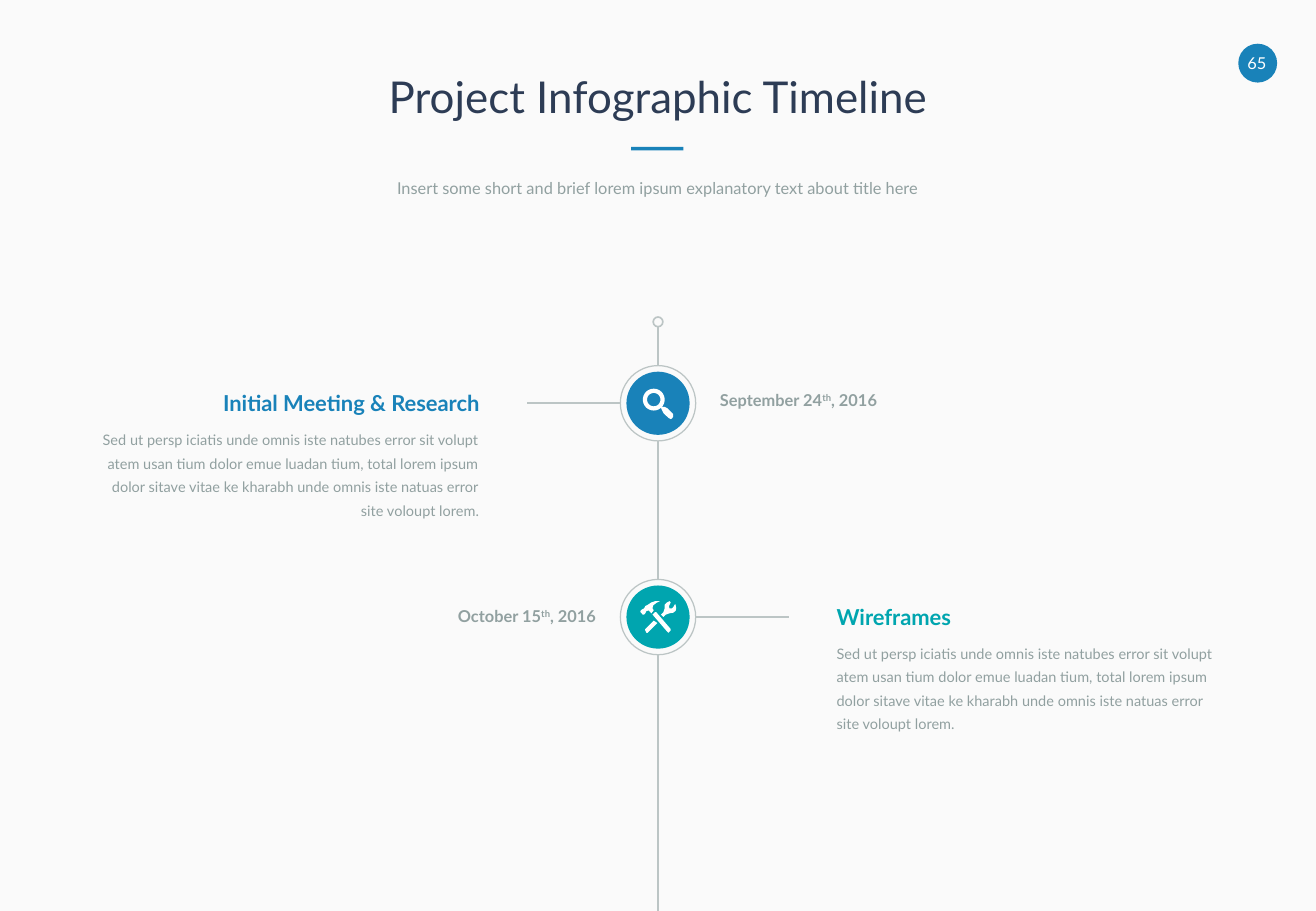
"""Build the project timeline slide with two dated stages."""
import math
import pptx
import pptx.util
import pptx.dml.color
import pptx.enum.shapes
import pptx.enum.text
import lxml.etree

Inches, Pt = pptx.util.Inches, pptx.util.Pt
RGBColor = pptx.dml.color.RGBColor
SHAPE = pptx.enum.shapes.MSO_SHAPE
ALIGN = pptx.enum.text.PP_ALIGN

BLUE = RGBColor(0x19, 0x82, 0xB9)
TEAL = RGBColor(0x00, 0xA5, 0xAF)
NAVY = RGBColor(0x2D, 0x3C, 0x55)
GRAY = RGBColor(0x91, 0xA0, 0xA0)
RULE = RGBColor(0xBC, 0xC5, 0xC5)
WHITE = RGBColor(0xFF, 0xFF, 0xFF)
PAPER = RGBColor(0xFA, 0xFA, 0xFA)

WIDE, HIGH = 10.83, 7.5
MID = WIDE / 2
TITLE = "Project Infographic Timeline"
LEAD = "Insert some short and brief lorem ipsum explanatory text about title here"
BODY = ("Sed ut persp iciatis unde omnis iste natubes error sit volupt atem usan "
        "tium dolor emue luadan tium, total lorem ipsum dolor sitave vitae ke "
        "kharabh unde omnis iste natuas error site voloupt lorem.")


def ring(x, y, r, count=32):
    turns = [2 * math.pi * i / count for i in range(count)]
    return [(x + r * math.cos(t), y + r * math.sin(t)) for t in turns]


LENS = [
    ring(538, 329, 9),
    ring(538, 329, 5.5),
    [(544, 336), (545, 335), (547, 335), (549, 336), (554, 341), (554, 343),
     (553, 344.5), (552, 345), (550, 344), (546, 340)],
]
TOOLS = [
    [(531, 518), (531, 519), (532, 521), (533, 521), (541, 513), (538, 511)],
    [(556, 498), (555.5, 497.5), (554, 500), (553, 501), (551, 501),
     (550.5, 499.5), (551, 498), (552, 496), (551, 495), (549, 496),
     (547, 498), (547, 501), (546, 504), (544, 506), (546, 508), (548, 506),
     (551, 505), (554, 504.5), (556, 503), (556.5, 501)],
    [(540, 504), (539, 504), (537, 506), (549, 520), (550, 521), (551, 520),
     (552, 519), (552, 518)],
    [(532, 503), (534, 502.7), (536, 505), (538, 502.5), (537, 501),
     (537.5, 498.5), (540, 496.5), (543, 495), (539, 495), (536, 496),
     (533, 498), (531, 499), (530, 501), (528, 502), (527, 503), (527, 504),
     (529, 506), (530, 506), (531, 505)],
]
STAGES = [
    dict(name="Initial Meeting & Research", day="September 24", y=3.32,
         side=-1, lift=0.11, color=BLUE, icon=LENS),
    dict(name="Wireframes", day="October 15", y=5.08,
         side=1, lift=0.09, color=TEAL, icon=TOOLS),
]
HEAD = dict(size=Pt(26), color=NAVY)
NOTE = dict(size=Pt(9.7), color=GRAY)
DATE = dict(NOTE, bold=True)
TEXT = dict(size=Pt(8.6), color=GRAY)

deck = pptx.Presentation()
deck.slide_width, deck.slide_height = Inches(WIDE), Inches(HIGH)
slide = deck.slides.add_slide(deck.slide_layouts[6])
slide.background.fill.solid()
slide.background.fill.fore_color.rgb = PAPER
shapes = slide.shapes


def paint(shape, fill=None, line=None, width=1):
    shape.shadow.inherit = False
    if fill is None:
        shape.fill.background()
    else:
        shape.fill.solid()
        shape.fill.fore_color.rgb = fill
    if line is None:
        shape.line.fill.background()
    else:
        shape.line.color.rgb = line
        shape.line.width = Pt(width)


def block(kind, x, y, w, h, **look):
    shape = shapes.add_shape(kind, Inches(x), Inches(y), Inches(w), Inches(h))
    paint(shape, **look)


def disc(y, size, **look):
    block(SHAPE.OVAL, MID - size / 2, y - size / 2, size, size, **look)


def rule(x1, y1, x2, y2):
    line = shapes.add_connector(pptx.enum.shapes.MSO_CONNECTOR.STRAIGHT,
                                Inches(x1), Inches(y1), Inches(x2), Inches(y2))
    line.line.color.rgb = RULE
    line.line.width = Pt(1)
    names = "{http://schemas.openxmlformats.org/drawingml/2006/main}"
    lxml.etree.SubElement(line._element.spPr, names + "effectLst")


def write(parts, x, y, w, h, look, align, space=None):
    frame = shapes.add_textbox(Inches(x), Inches(y), Inches(w), Inches(h)).text_frame
    box = dict(word_wrap=True, margin_left=0, margin_right=0, margin_top=0,
               margin_bottom=0, vertical_anchor=pptx.enum.text.MSO_ANCHOR.TOP)
    for key, value in box.items():
        setattr(frame, key, value)
    para = frame.paragraphs[0]
    para.alignment = align
    para.line_spacing = space
    for part in parts:
        run = para.add_run()
        run.text = part
        run.font.name = "Lato"
        for key, value in look.items():
            if key == "color":
                run.font.color.rgb = value
            else:
                setattr(run.font, key, value)
        if part == "th":
            run.font._element.set("baseline", "30000")


def draw(icon):
    unit = Inches(0.01)
    paths = [[(x * unit, y * unit) for x, y in path] for path in icon]
    pen = shapes.build_freeform(*paths[0][0])
    pen.add_line_segments(paths[0][1:])
    for path in paths[1:]:
        pen.move_to(*path[0])
        pen.add_line_segments(path[1:])
    paint(pen.convert_to_shape(), fill=WHITE)


def stage(name, day, y, side, lift, color, icon):
    align = ALIGN.RIGHT if side < 0 else ALIGN.LEFT
    other = ALIGN.LEFT if side < 0 else ALIGN.RIGHT
    wide, span = 3.13, 1.76
    left = MID + side * 1.47 - (wide if side < 0 else 0)
    start = MID - side * 0.51 - (span if side > 0 else 0)
    disc(y, 0.52, fill=color)
    draw(icon)
    disc(y, 0.62, line=RULE, width=0.75)
    rule(MID + side * 0.31, y, MID + side * 1.08, y)
    write([name], left, y - 0.11, wide, 0.22,
          dict(size=Pt(13), color=color, bold=True), align)
    write([BODY], left, y + 0.18, wide, 0.79, TEXT, align, 1.35)
    write([day, "th", ", 2016"], start, y - lift, span, 0.16, DATE, other)


block(SHAPE.OVAL, 10.19, 0.36, 0.32, 0.32, fill=BLUE)
write(["65"], 10.21, 0.44, 0.27, 0.16, dict(NOTE, color=WHITE), ALIGN.CENTER)
block(SHAPE.RECTANGLE, MID - 0.22, 1.21, 0.43, 0.03, fill=BLUE)
write([TITLE], 0.81, 0.57, 9.21, 0.48, HEAD, ALIGN.CENTER)
write([LEAD], 0.81, 1.47, 9.21, 0.2, NOTE, ALIGN.CENTER)

top = 2.69
for item in STAGES:
    rule(MID, top, MID, item["y"] - 0.31)
    stage(**item)
    top = item["y"] + 0.31
rule(MID, top, MID, HIGH)
disc(2.65, 0.08, line=RULE)

deck.save("out.pptx")
